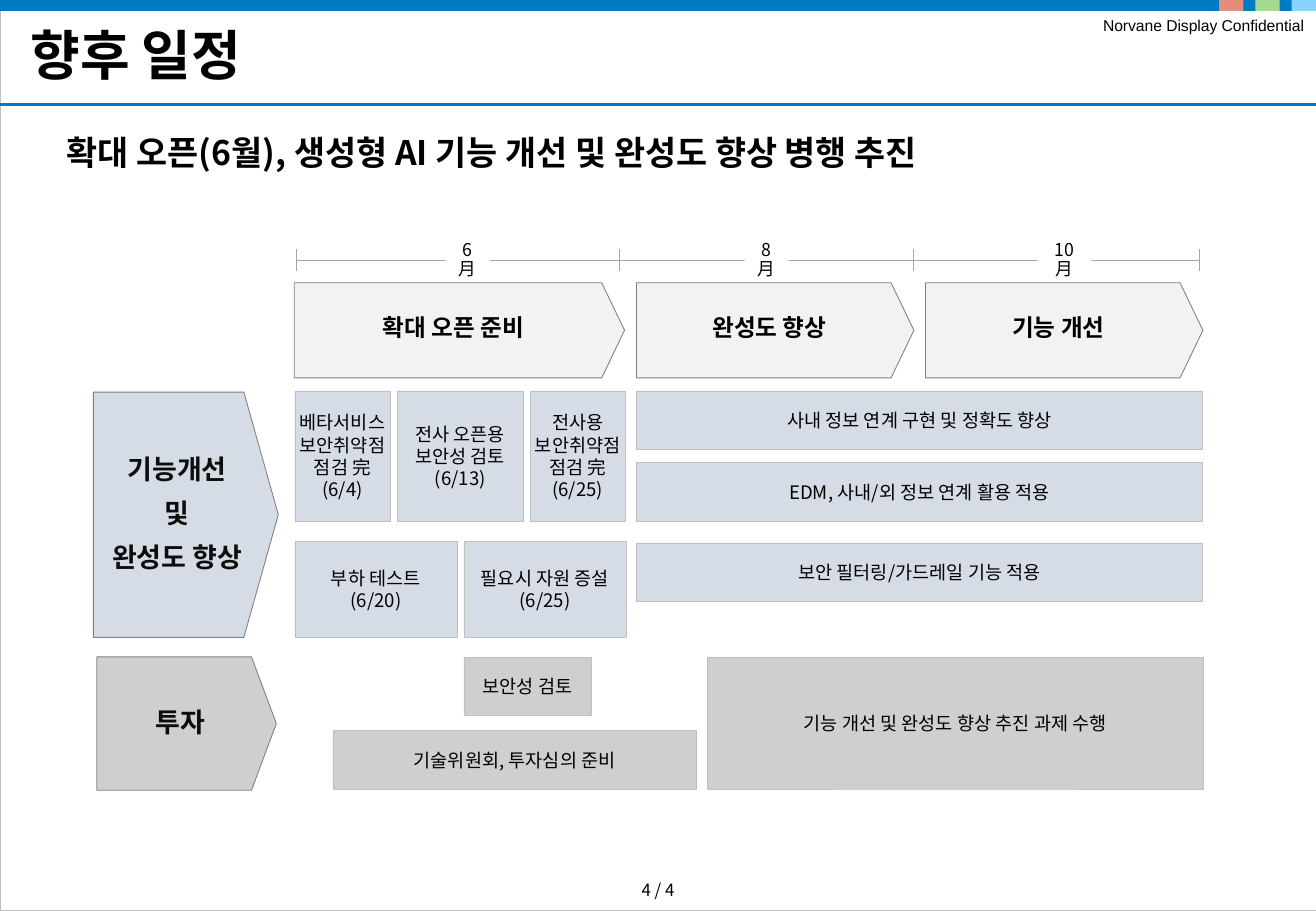
import pptx
import pptx.util
import pptx.dml.color
import pptx.enum.shapes
import pptx.enum.text
import pptx.oxml.ns
from dataclasses import dataclass
from lxml import etree

Pt = pptx.util.Pt
SHAPE = pptx.enum.shapes.MSO_SHAPE
ALIGN = pptx.enum.text.PP_ALIGN
MIDDLE = pptx.enum.text.MSO_ANCHOR.MIDDLE
qn = pptx.oxml.ns.qn


@dataclass(frozen=True)
class Theme:
    font: str = "Noto Sans CJK KR"
    label_font: str = "Arial"
    text: str = "000000"
    tag_text: str = "0D0D0D"
    white: str = "FFFFFF"
    brand: str = "007AC2"
    accents: tuple = ("E48D7C", "A5DB90", "89D3FF")
    phase: str = "F2F2F2"
    blue: str = "D6DCE5"
    gray: str = "D0CECE"
    border: str = "BFBFBF"
    outline: str = "7F7F7F"
    axis: str = "A6A6A6"
    title_size: float = 32
    heading_size: float = 20
    tag_size: float = 16
    phase_size: float = 14
    task_size: float = 11
    month_size: float = 10.5
    page_size: float = 10
    label_size: float = 9.3


def rgb(value):
    return pptx.dml.color.RGBColor.from_string(value)


def set_values(target, values):
    for name, value in values.items():
        setattr(target, name, value)


class SlideBuilder:
    def __init__(self, prs, theme):
        self.theme = theme
        self.s = prs.slides.add_slide(prs.slide_layouts[5])

    def add_text(self, sp, text, size, bold=False, color=None, font=None,
                 align=ALIGN.CENTER, insets=(0, 0, 0, 0), wrap=True, **spacing):
        """Fill a shape with text, one paragraph per line."""
        font = font or self.theme.font
        tf = sp.text_frame
        left, top, right, bottom = map(Pt, insets)
        set_values(tf, dict(margin_left=left, margin_top=top, margin_right=right,
                            margin_bottom=bottom, word_wrap=wrap,
                            vertical_anchor=MIDDLE))
        for i, line in enumerate(text.split("\n")):
            p = tf.paragraphs[0] if i == 0 else tf.add_paragraph()
            set_values(p, dict(alignment=align, **spacing))
            r = p.add_run()
            r.text = line
            set_values(r.font, dict(name=font, size=Pt(size), bold=bold))
            r.font.color.rgb = rgb(color or self.theme.text)
            ea = etree.SubElement(r.font._element, qn("a:ea"))
            ea.set("typeface", font)

    def title(self, text, box):
        sp = self.s.shapes.title
        set_values(sp, dict(zip(("left", "top", "width", "height"), map(Pt, box))))
        self.add_text(sp, text, self.theme.title_size, bold=True,
                      align=ALIGN.LEFT, line_spacing=0.9)

    def label(self, text, box, size, **style):
        sp = self.s.shapes.add_textbox(*map(Pt, box))
        self.add_text(sp, text, size, **style)

    def shape(self, box, fill=None, line=None, width=0.5, kind=SHAPE.RECTANGLE,
              point=None):
        sp = self.s.shapes.add_shape(kind, *map(Pt, box))
        sp.shadow.inherit = False
        if fill:
            sp.fill.solid()
            sp.fill.fore_color.rgb = rgb(fill)
        else:
            sp.fill.background()
        if line:
            sp.line.color.rgb = rgb(line)
            sp.line.width = Pt(width)
        else:
            sp.line.fill.background()
        if point is not None:
            sp.adjustments[0] = point
        return sp

    def arrow(self, text, box, fill, point, size, **style):
        sp = self.shape(box, fill, self.theme.outline,
                        kind=SHAPE.PENTAGON, point=point)
        self.add_text(sp, text, size, bold=True, wrap=False, **style)

    def task(self, text, box, fill):
        sp = self.shape(box, fill, self.theme.border, 0.25)
        self.add_text(sp, text, self.theme.task_size, insets=(0, 3.6, 0, 3.6))

    def line(self, x1, y1, x2, y2, color, width):
        c = self.s.shapes.add_connector(
            pptx.enum.shapes.MSO_CONNECTOR.STRAIGHT, *map(Pt, (x1, y1, x2, y2)))
        c.line.color.rgb = rgb(color)
        c.line.width = Pt(width)
        etree.SubElement(c._element.spPr, qn("a:effectLst"))


def main():
    prs = pptx.Presentation()
    prs.slide_width, prs.slide_height = Pt(780), Pt(540)
    t = Theme()
    b = SlideBuilder(prs, t)

    # Page frame and header
    b.shape((0, 0, 780, 540), line=t.border)
    b.shape((0, -0.5, 780, 7), t.brand)
    for i, color in enumerate(t.accents):
        b.shape((722.6 + 21.5 * i, -0.5, 14.4, 7), color)
    b.label("Norvane Display Confidential", (623.5, 7.2, 156.5, 16), t.label_size,
            font=t.label_font, align=ALIGN.RIGHT, insets=(7.2, 3.6, 7.2, 3.6))
    b.line(0, 62, 780, 62, t.brand, 2.25)
    b.title("향후 일정", (18, 11.5, 744.5, 45.4))
    b.label("4 / 4", (358, 517.5, 64, 20), t.page_size)

    # Key message
    message = b.shape((31, 71.3, 749, 37.4), t.white)
    b.add_text(message, "확대 오픈(6월), 생성형 AI 기능 개선 및 완성도 향상 병행 추진",
               t.heading_size, bold=True, align=ALIGN.LEFT,
               insets=(8.6, 3.6, 7.2, 3.6), space_after=Pt(12))

    # Month axis
    ticks = (175.7, 367.2, 541.4, 710.8)
    for x in ticks:
        b.line(x, 147.6, x, 160.6, t.axis, 0.25)
    b.line(ticks[0], 154.1, ticks[-1], 154.1, t.axis, 0.25)
    for month, x, w in (("6月", 264.2, 26), ("8月", 441.4, 26), ("10月", 614.9, 32)):
        sp = b.shape((x, 148.3, w, 11.5), t.white)
        b.add_text(sp, month, t.month_size, insets=(6, 0, 6, 0), line_spacing=0.9)

    # Phases
    left, right = 174.8, 377.3
    for name, x, w in (("확대 오픈 준비", left - 0.4, 195.8),
                       ("완성도 향상", right, 164.4), ("기능 개선", 548.6, 164.4)):
        b.arrow(name, (x, 167.6, w, 56.4), t.phase, 0.24, t.phase_size,
                insets=(7.2, 3.6, 7.2, 7.2))

    # Work streams
    for name, box, fill in (
            ("기능개선\n및\n완성도 향상", (55.4, 232.4, 109.6, 145.4), t.blue),
            ("투자", (57.4, 389.4, 106.4, 79), t.gray)):
        b.arrow(name, box, fill, 0.186, t.tag_size, color=t.tag_text,
                insets=(5.8,) * 4, line_spacing=0.9, space_before=Pt(9))

    # Tasks: stream rows and a common bar height
    row1, row2, row3, bar = 231.8, 321, 389.5, 34.7
    mid = left + 100.2
    for text, *box in (
            ("베타서비스\n보안취약점\n점검 完\n(6/4)", left, row1, 56.4, 77),
            ("전사 오픈용\n보안성 검토\n(6/13)", 235.4, row1, 74.8, 77),
            ("전사용\n보안취약점\n점검 完\n(6/25)", 314.3, row1, 56.4, 77),
            ("부하 테스트\n(6/20)", left, row2, 96, 56.8),
            ("필요시 자원 증설(6/25)", mid, row2, 96, 56.8),
            ("사내 정보 연계 구현 및 정확도 향상", right, row1, 335.6, bar),
            ("EDM, 사내/외 정보 연계 활용 적용", right, 274.1, 335.6, bar),
            ("보안 필터링/가드레일 기능 적용", right, 321.8, 335.6, bar)):
        b.task(text, box, t.blue)
    for text, *box in (
            ("보안성 검토", mid, row3, 75.4, bar),
            ("기술위원회, 투자심의 준비", 197.3, 433, 215.6, bar),
            ("기능 개선 및 완성도 향상 추진 과제 수행", 419.3, row3, 294, 78.2)):
        b.task(text, box, t.gray)

    prs.save("out.pptx")


if __name__ == "__main__":
    main()
